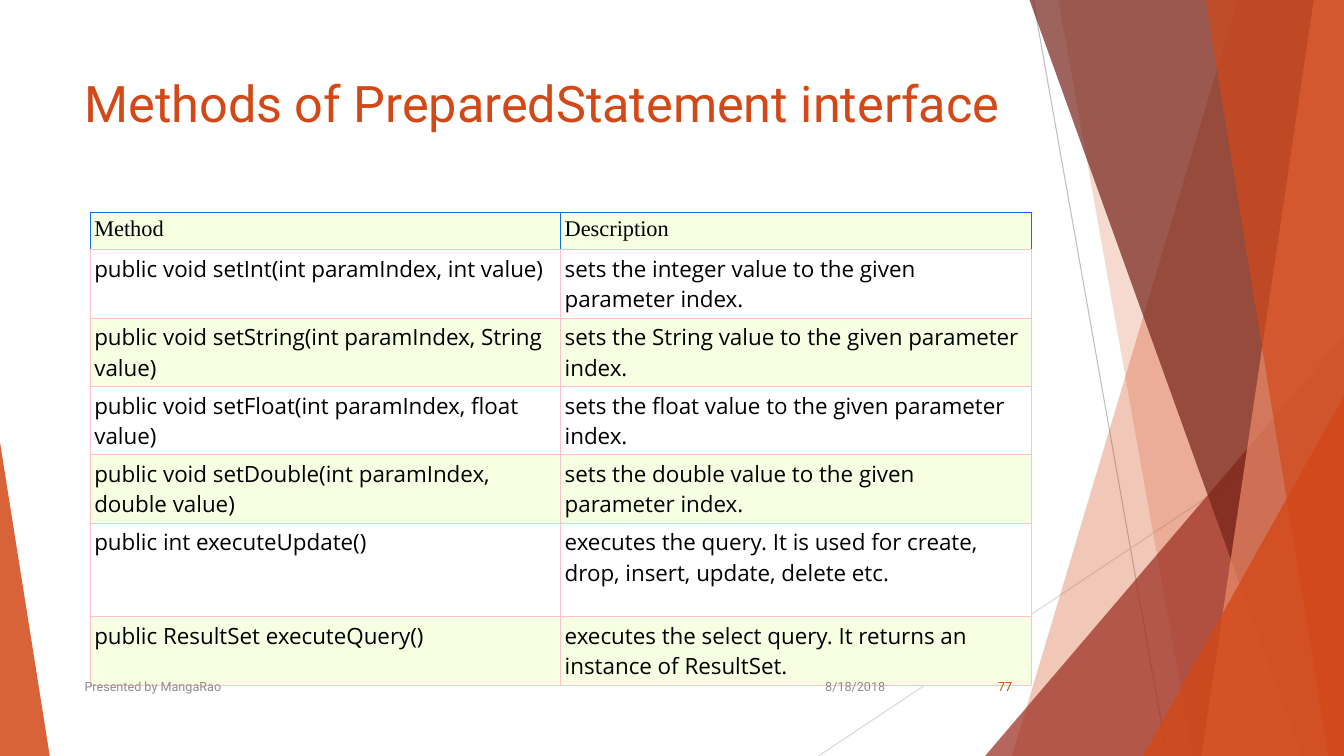
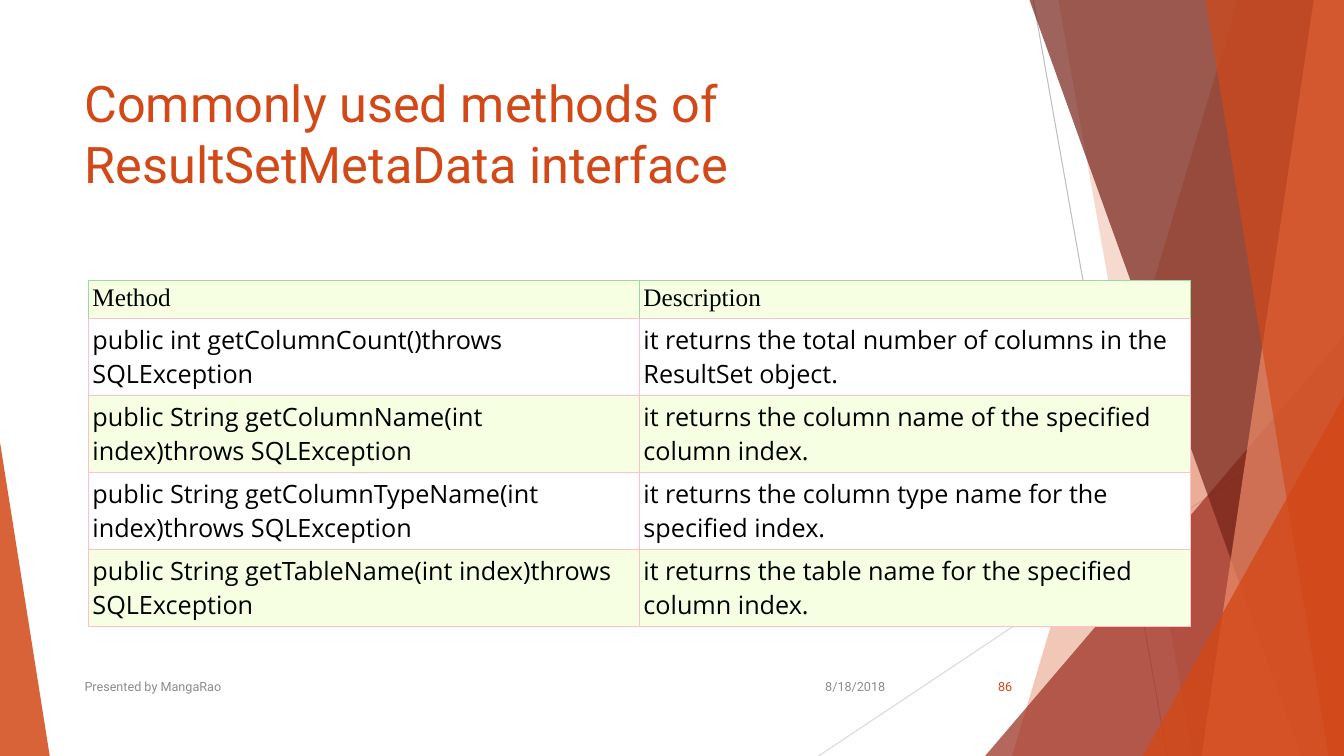
import pptx
import pptx.util
import pptx.dml.color
import pptx.enum.shapes
import pptx.enum.text
import pptx.oxml
import pptx.oxml.ns

RGB = pptx.dml.color.RGBColor
ALIGN = pptx.enum.text.PP_ALIGN
ANCHOR = pptx.enum.text.MSO_ANCHOR
NS = pptx.oxml.ns.nsdecls("a")

ORANGE = RGB(0xD3, 0x48, 0x17)
RUST = RGB(0x9B, 0x2D, 0x1F)
MAROON = RGB(0x74, 0x22, 0x17)
SALMON = RGB(0xEF, 0x8C, 0x6A)
GREY = RGB(0x8C, 0x8C, 0x8C)
SILVER = RGB(0xBF, 0xBF, 0xBF)
MIST = RGB(0xD9, 0xD9, 0xD9)
PINK = RGB(0xFF, 0xC0, 0xCB)
BLUE = RGB(0x10, 0x6C, 0xDF)
GREEN = RGB(0xA0, 0xD5, 0xA4)
LIME = RGB(0xF6, 0xFF, 0xE1)
WHITE = RGB(0xFF, 0xFF, 0xFF)
BLACK = RGB(0, 0, 0)

deck = pptx.Presentation()
deck.slide_width = pptx.util.Inches(13.33)
deck.slide_height = pptx.util.Inches(7.5)
COL = deck.slide_width / 100
ROW = deck.slide_height / 100


def grid(x, y, width, height):
    return [round(n) for n in (x * COL, y * ROW, width * COL, height * ROW)]


def write(frame, text, size, font="Roboto", color=ORANGE,
          align=ALIGN.LEFT, anchor=ANCHOR.TOP):
    frame.word_wrap = True
    frame.vertical_anchor = anchor
    line = frame.paragraphs[0]
    line.alignment = align
    run = line.add_run()
    run.text = text
    run.font.size = pptx.util.Pt(size)
    run.font.name = font
    run.font.color.rgb = color


rays = [(76.88, 0, 86.85, 100, SILVER), (100, 53.73, 60.9, 100, MIST)]

shards = [
    ("band", 92.1, 75.3, ORANGE, 30),
    ("band", 78.75, 88.75, ORANGE, 20),
    ("wedge", (73.3, 44.4, 26.7, 55.6), 1, RUST, 72),
    ("band", 76.6, 96.85, MAROON, 70),
    ("band", 97.75, 89.4, SALMON, 70),
    ("band", 89.7, 98.85, ORANGE, 65),
    ("wedge", (85.05, 52.4, 14.95, 47.6), 1, ORANGE, 80),
    ("wedge", (0, 58.5, 3.7, 41.5), 0, ORANGE, 85),
]

pages = [
    dict(
        title="Methods of PreparedStatement interface", number="77",
        left=6.72, top=28.1, width=70, size=16, header_edge=BLUE,
        heights=[4.9] + [9.05] * 4 + [12.35, 9.05],
        methods=[
            ("Method", "Description"),
            ("public void setInt(int paramIndex, int value)",
             "sets the integer value to the given parameter index."),
            ("public void setString(int paramIndex, String value)",
             "sets the String value to the given parameter index."),
            ("public void setFloat(int paramIndex, float value)",
             "sets the float value to the given parameter index."),
            ("public void setDouble(int paramIndex, double value)",
             "sets the double value to the given parameter index."),
            ("public int executeUpdate()",
             "executes the query. It is used for create, drop, insert, update, delete etc."),
            ("public ResultSet executeQuery()",
             "executes the select query. It returns an instance of ResultSet."),
        ]),
    dict(
        title="Commonly used methods of ResultSetMetaData interface", number="86",
        left=6.58, top=37.05, width=82, size=18, header_edge=GREEN,
        heights=[4.8] + [10.2] * 4,
        methods=[
            ("Method", "Description"),
            ("public int getColumnCount()throws SQLException",
             "it returns the total number of columns in the ResultSet object."),
            ("public String getColumnName(int index)throws SQLException",
             "it returns the column name of the specified column index."),
            ("public String getColumnTypeName(int index)throws SQLException",
             "it returns the column type name for the specified index."),
            ("public String getTableName(int index)throws SQLException",
             "it returns the table name for the specified column index."),
        ]),
]

for page in pages:
    slide = deck.slides.add_slide(deck.slide_layouts[6])
    shapes = slide.shapes

    for *ends, color in rays:
        ray = shapes.add_connector(
            pptx.enum.shapes.MSO_CONNECTOR.STRAIGHT, *grid(*ends))
        ray.line.color.rgb = color
        ray.line.width = pptx.util.Pt(0.75)
        ray._element.spPr.append(pptx.oxml.parse_xml(f"<a:effectLst {NS}/>"))

    for kind, first, second, color, opacity in shards:
        if kind == "band":
            outline = shapes.build_freeform(round(first * COL), 0)
            outline.add_line_segments(
                [(round(x * COL), round(y * ROW))
                 for x, y in ((100, 0), (100, 100), (second, 100))], close=True)
            shard = outline.convert_to_shape()
        else:
            shard = shapes.add_shape(
                pptx.enum.shapes.MSO_SHAPE.ISOSCELES_TRIANGLE, *grid(*first))
            shard.adjustments[0] = second
        shard.shadow.inherit = False
        shard.line.fill.background()
        shard.fill.solid()
        shard.fill.fore_color.rgb = color
        shade = shard._element.spPr.find(".//" + pptx.oxml.ns.qn("a:srgbClr"))
        shade.append(pptx.oxml.parse_xml(f'<a:alpha {NS} val="{opacity * 1000}"/>'))

    title = shapes.add_textbox(*grid(5.55, 8.93, 70.5, 19.2))
    write(title.text_frame, page["title"], 36)

    methods, heights = page["methods"], page["heights"]
    table = shapes.add_table(len(methods), 2, *grid(
        page["left"], page["top"], page["width"], sum(heights))).table
    for r, entries in enumerate(methods):
        table.rows[r].height = round(heights[r] * ROW)
        for c, entry in enumerate(entries):
            cell = table.cell(r, c)
            cell.margin_left = cell.margin_right = pptx.util.Inches(0.04)
            cell.margin_top = cell.margin_bottom = pptx.util.Inches(0.04)
            write(cell.text_frame, entry, page["size"], color=BLACK,
                  font="Open Sans" if r else "Times New Roman")
            for side in "LRTB":
                edge = page["header_edge"] if r == 0 and side != "B" else PINK
                cell._tc.get_or_add_tcPr().append(pptx.oxml.parse_xml(
                    f'<a:ln{side} {NS} w="{pptx.util.Pt(0.6)}"><a:solidFill>'
                    f'<a:srgbClr val="{edge}"/></a:solidFill></a:ln{side}>'))
            cell.fill.solid()
            cell.fill.fore_color.rgb = WHITE if r % 2 else LIME

    for text, x, width, color, align in (
            ("8/18/2018", 59.1, 7.5, GREY, ALIGN.RIGHT),
            ("Presented by MangaRao", 5.55, 51.7, GREY, ALIGN.LEFT),
            (page["number"], 70.45, 5.6, ORANGE, ALIGN.RIGHT)):
        footer = shapes.add_textbox(*grid(x, 88.13, width, 5.33))
        write(footer.text_frame, text, 9, color=color, align=align,
              anchor=ANCHOR.MIDDLE)

deck.save("out.pptx")
